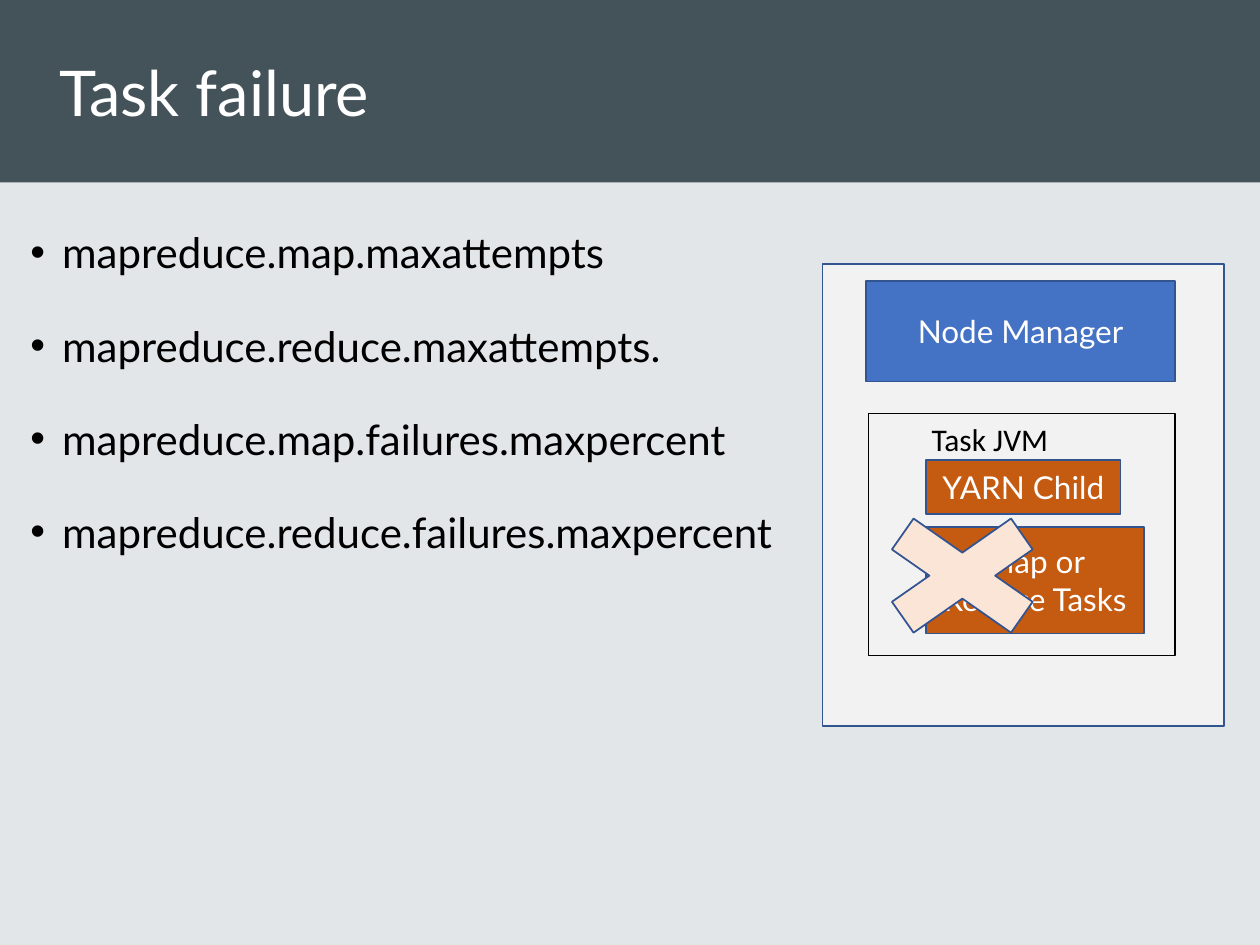
import pptx
import pptx.dml.color
import pptx.enum.shapes
import pptx.enum.text
import pptx.oxml
import pptx.oxml.ns
import pptx.util

Cm = pptx.util.Cm
Pt = pptx.util.Pt
SHAPE = pptx.enum.shapes.MSO_SHAPE
ALIGN = pptx.enum.text.PP_ALIGN
ANCHOR = pptx.enum.text.MSO_ANCHOR

COLORS = {
    "background": "E3E6E9",
    "header": "44525A",
    "node": "F2F2F2",
    "manager": "4472C4",
    "task": "C55A11",
    "failure": "FBE5D6",
    "outline": "325491",
    "dark": "000000",
    "light": "FFFFFF",
}
SETTINGS = [
    "mapreduce.map.maxattempts",
    "mapreduce.reduce.maxattempts.",
    "mapreduce.map.failures.maxpercent",
    "mapreduce.reduce.failures.maxpercent",
]


def rgb(name):
    return pptx.dml.color.RGBColor.from_string(COLORS[name])


def place(shape, box):
    shape.left, shape.top, shape.width, shape.height = (Cm(length) for length in box)


def add_bullet(paragraph, indent):
    properties = paragraph._p.get_or_add_pPr()
    properties.set("marL", str(Cm(indent)))
    properties.set("indent", str(-Cm(indent)))
    namespace = pptx.oxml.ns.nsdecls("a")
    properties.append(pptx.oxml.parse_xml(f'<a:buFont {namespace} typeface="Arial"/>'))
    properties.append(pptx.oxml.parse_xml(f'<a:buChar {namespace} char="•"/>'))


def write(shape, lines, size=18, color="light", font="Lato", align=ALIGN.CENTER,
          anchor=ANCHOR.MIDDLE, bullet_indent=None, spacing=None, gap=0):
    frame = shape.text_frame
    frame.word_wrap = True
    frame.auto_size = pptx.enum.text.MSO_AUTO_SIZE.NONE
    frame.vertical_anchor = anchor
    for index, line in enumerate(lines):
        paragraph = frame.add_paragraph() if index else frame.paragraphs[0]
        if bullet_indent:
            add_bullet(paragraph, bullet_indent)
        paragraph.alignment = align
        paragraph.line_spacing = spacing
        paragraph.space_before = Pt(gap if index else 0)
        run = paragraph.add_run()
        run.text = line
        run.font.size = Pt(size)
        run.font.name = font
        run.font.color.rgb = rgb(color)


def add_block(shapes, box, fill=None, outline="outline", weight=1, kind=SHAPE.RECTANGLE):
    block = shapes.add_shape(kind, *(Cm(length) for length in box))
    block.shadow.inherit = False
    if fill:
        block.fill.solid()
        block.fill.fore_color.rgb = rgb(fill)
    else:
        block.fill.background()
    if outline:
        block.line.color.rgb = rgb(outline)
        block.line.width = Pt(weight)
    else:
        block.line.fill.background()
    return block


def build_header(slide, box):
    left, top, width, height = box
    band = add_block(slide.shapes, box, "header", None)
    title = slide.shapes.title
    title._element.addprevious(band._element)
    place(title, (left + 0.94, top, width - 2.11, height))
    write(title, ["Task failure"], size=36, align=ALIGN.LEFT)


def build_settings(slide, box):
    settings = slide.placeholders[1]
    place(settings, box)
    write(settings, SETTINGS, size=24, color="dark", align=ALIGN.JUSTIFY,
          anchor=ANCHOR.TOP, bullet_indent=0.64, spacing=1.5, gap=10)


def build_node(slide, box):
    left, top, width, height = box
    node = slide.shapes.add_group_shape().shapes

    def inside(x, y, w, h):
        return left + x, top + y, w, h

    add_block(node, box, "node")

    manager = add_block(node, inside(0.88, 0.35, 6.23, 2.02), "manager")
    write(manager, ["Node Manager"])

    jvm = add_block(node, inside(0.93, 3.02, 6.18, 4.87), outline="dark", weight=0.75)
    write(jvm, ["Task JVM"], color="dark", font="Calibri", align=ALIGN.LEFT,
          anchor=ANCHOR.TOP)
    jvm.text_frame.margin_left = Cm(1.27)

    tasks = add_block(node, inside(2.09, 5.3, 4.39, 2.15), "task")
    write(tasks, ["Map or Reduce Tasks"])

    child = add_block(node, inside(2.09, 3.96, 3.92, 1.09), "task")
    write(child, ["YARN Child"])

    add_block(slide.shapes, inside(0.51, 4.67, 4.62, 3.23), "failure",
              kind=SHAPE.MATH_MULTIPLY)


def main():
    deck = pptx.Presentation()
    deck.slide_width, deck.slide_height = Cm(25.4), Cm(19.05)
    slide = deck.slides.add_slide(deck.slide_layouts[1])
    slide.background.fill.solid()
    slide.background.fill.fore_color.rgb = rgb("background")
    build_header(slide, (0, 0, 25.4, 3.68))
    build_settings(slide, (0.36, 3.94, 16.1, 14.71))
    build_node(slide, (16.58, 5.32, 8.1, 9.32))
    deck.save("out.pptx")


if __name__ == "__main__":
    main()
